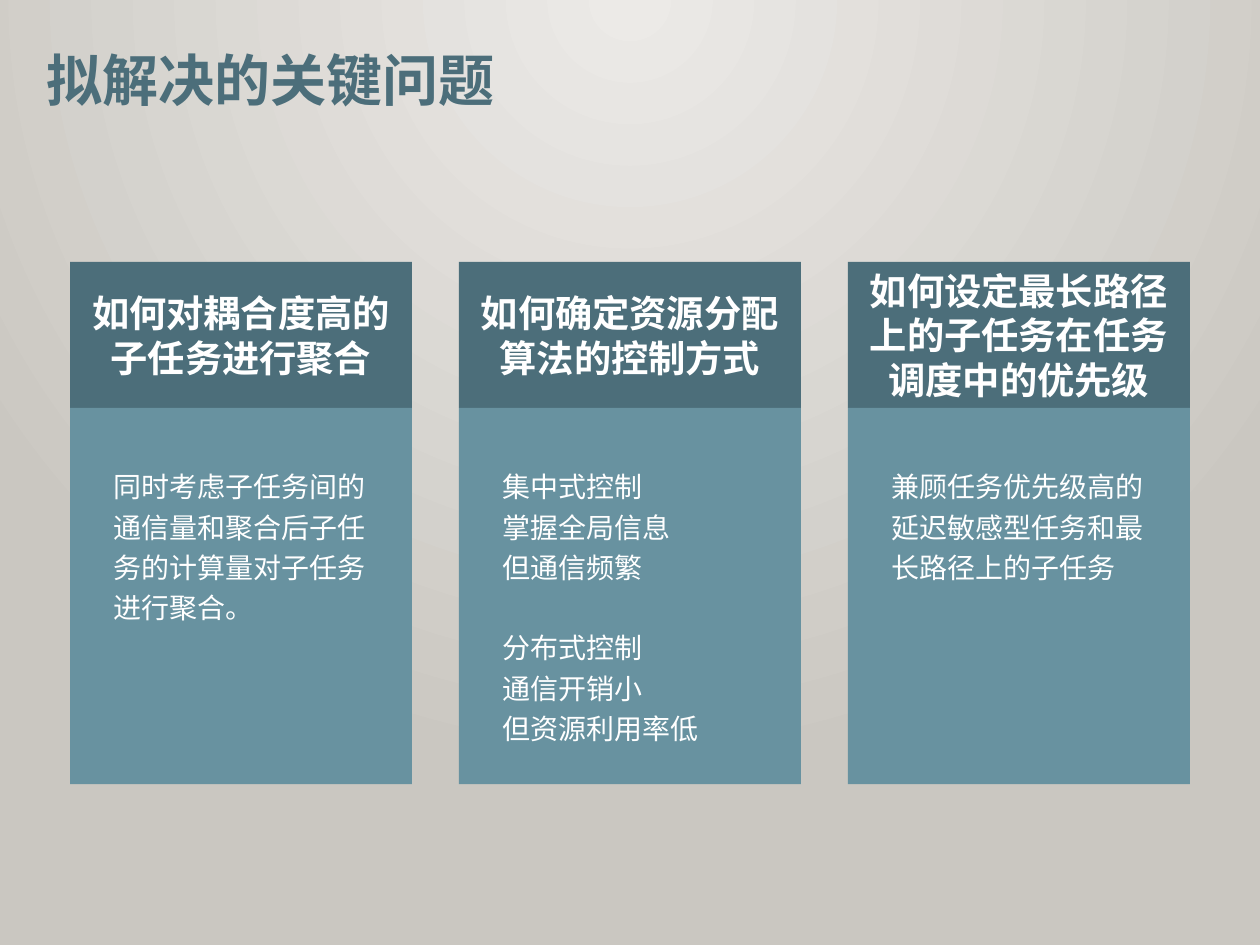
from dataclasses import dataclass

from lxml.etree import SubElement
from pptx import Presentation
from pptx.dml.color import RGBColor
from pptx.enum.shapes import MSO_SHAPE as Shape
from pptx.enum.text import MSO_ANCHOR as Anchor, PP_ALIGN as Align
from pptx.oxml.ns import qn
from pptx.util import Cm, Pt


@dataclass(frozen=True)
class Theme:
    dark: RGBColor = RGBColor.from_string("4C6E7A")
    light: RGBColor = RGBColor.from_string("6892A0")
    white: RGBColor = RGBColor.from_string("FFFFFF")
    glow: RGBColor = RGBColor.from_string("ECEAE7")
    edge: RGBColor = RGBColor.from_string("CAC7C1")
    latin: str = "Calibri"
    chinese: str = "Noto Sans CJK SC"
    title: Pt = Pt(24)
    heading: Pt = Pt(16)
    body: Pt = Pt(12)
    block_gap: Pt = Pt(17.3)


THEME = Theme()
TITLE_FONT = {"size": THEME.title, "bold": True, "name": THEME.latin}
HEADING_FONT = {"size": THEME.heading, "bold": True, "name": THEME.latin}
BODY_FONT = {"size": THEME.body, "name": THEME.chinese}

COLUMN_LEFT, COLUMN_STEP, COLUMN_WIDTH = 1.06, 5.88, 5.17
HEADING_TOP, HEADING_HEIGHT, BODY_HEIGHT = 3.96, 2.21, 5.69
TEXT_INSET, TEXT_DROP, TEXT_WIDTH, TEXT_HEIGHT = 0.41, 0.71, 4.36, 4.52

COLUMNS = [
    ("如何对耦合度高的子任务进行聚合",
     [["同时考虑子任务间的通信量和聚合后子任务的计算量对子任务进行聚合。"]]),
    ("如何确定资源分配算法的控制方式",
     [["集中式控制", "掌握全局信息", "但通信频繁"],
      ["分布式控制", "通信开销小", "但资源利用率低"]]),
    ("如何设定最长路径上的子任务在任务调度中的优先级",
     [["兼顾任务优先级高的延迟敏感型任务和最长路径上的子任务"]]),
]


def apply(target, values):
    for name, value in values.items():
        setattr(target, name, value)


def write(para, text, font, color):
    span = para.add_run()
    span.text = text
    apply(span.font, font)
    span.font.color.rgb = color
    properties = span.font._element if hasattr(span.font, "_element") else span._r.get_or_add_rPr()
    SubElement(properties, qn("a:ea"), typeface=THEME.chinese)


def paint_background(page):
    fill = page.background.fill
    fill.gradient()
    for stop, color in zip(fill.gradient_stops, (THEME.glow, THEME.edge)):
        stop.color.rgb = color
    gradient = page.element.find(".//" + qn("a:gradFill"))
    gradient.remove(gradient.find(qn("a:lin")))
    circle = SubElement(gradient, qn("a:path"), path="circle")
    SubElement(circle, qn("a:fillToRect"), l="43000", t="0", r="43000", b="100000")


def add_panel(page, left, top, height, color):
    panel = page.shapes.add_shape(
        Shape.RECTANGLE, Cm(left), Cm(top), Cm(COLUMN_WIDTH), Cm(height))
    panel.shadow.inherit = False
    panel.fill.solid()
    panel.fill.fore_color.rgb = color
    panel.line.fill.background()
    return panel


def add_text(page, left, top, width, height):
    box = page.shapes.add_textbox(Cm(left), Cm(top), Cm(width), Cm(height))
    box.text_frame.word_wrap = True
    return box.text_frame


def add_title(page, text):
    para = add_text(page, 0.36, 0.56, 7.47, 1.27).paragraphs[0]
    para.alignment = Align.CENTER
    write(para, text, TITLE_FONT, THEME.dark)


def add_heading(page, left, text):
    frame = add_panel(page, left, HEADING_TOP, HEADING_HEIGHT, THEME.dark).text_frame
    apply(frame, {"word_wrap": True, "vertical_anchor": Anchor.MIDDLE})
    para = frame.paragraphs[0]
    para.alignment = Align.CENTER
    write(para, text, HEADING_FONT, THEME.white)


def add_body(page, left, blocks):
    top = HEADING_TOP + HEADING_HEIGHT
    add_panel(page, left, top, BODY_HEIGHT, THEME.light)
    frame = add_text(page, left + TEXT_INSET, top + TEXT_DROP, TEXT_WIDTH, TEXT_HEIGHT)
    for block_index, block in enumerate(blocks):
        for line_index, line in enumerate(block):
            first = block_index == line_index == 0
            para = frame.paragraphs[0] if first else frame.add_paragraph()
            para.line_spacing = 1.2
            if block_index and not line_index:
                para.space_before = THEME.block_gap
            write(para, line, BODY_FONT, THEME.white)


def main():
    deck = Presentation()
    apply(deck, {"slide_width": Cm(19.05), "slide_height": Cm(14.29)})
    page = deck.slides.add_slide(deck.slide_layouts[6])
    paint_background(page)
    add_title(page, "拟解决的关键问题")
    for index, (heading, blocks) in enumerate(COLUMNS):
        left = COLUMN_LEFT + index * COLUMN_STEP
        add_heading(page, left, heading)
        add_body(page, left, blocks)
    deck.save("out.pptx")


if __name__ == "__main__":
    main()
